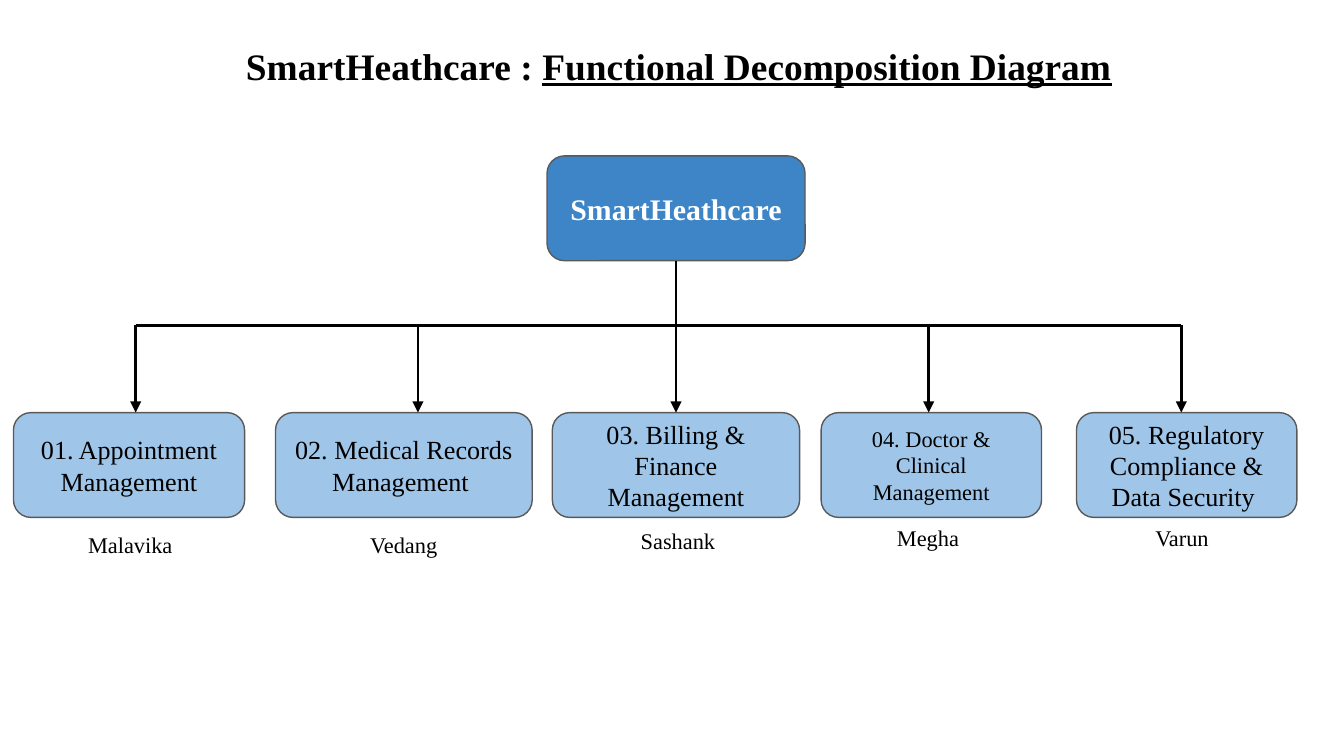
import dataclasses
import pptx
import pptx.dml.color
import pptx.enum.shapes
import pptx.enum.text
import pptx.oxml
import pptx.oxml.ns
import pptx.util

ALIGN = pptx.enum.text.PP_ALIGN
ANCHOR = pptx.enum.text.MSO_ANCHOR


@dataclasses.dataclass(frozen=True)
class Theme:
    font: str = "Times New Roman"
    ink: str = "000000"
    light: str = "FFFFFF"
    root: str = "3D85C6"
    module: str = "9FC5E8"
    outline: str = "595959"
    title_size: float = 20
    root_size: float = 16
    module_size: float = 14
    small_size: float = 12
    outline_width: float = 0.75
    arrow_width: float = 1.5
    inset: float = 0.1


def rgb(code):
    return pptx.dml.color.RGBColor.from_string(code)


def write_text(shape, text, *, font, size, color, bold=False, underlined="",
               align=ALIGN.CENTER, anchor=ANCHOR.TOP, inset=0.1, wrap=True):
    frame = shape.text_frame
    frame.word_wrap = wrap
    frame.vertical_anchor = anchor
    frame.margin_left = frame.margin_right = pptx.util.Inches(0.1)
    frame.margin_top = frame.margin_bottom = pptx.util.Inches(inset)
    para = frame.paragraphs[0]
    para.alignment = align
    for part, underline in ((text, False), (underlined, True)):
        if part:
            span = para.add_run()
            span.text = part
            span.font.name = font
            span.font.size = pptx.util.Pt(size)
            span.font.bold = bold
            span.font.underline = underline
            span.font.color.rgb = rgb(color)


class Diagram:
    COLUMNS = 100
    ROWS = 56.25

    def __init__(self, deck, theme):
        self.theme = theme
        self.cell_width = deck.slide_width / self.COLUMNS
        self.cell_height = deck.slide_height / self.ROWS
        self.page = deck.slides.add_slide(deck.slide_layouts[5])

    def place(self, column, row):
        return round(column * self.cell_width), round(row * self.cell_height)

    def title(self, text, underlined, column, row, columns, rows):
        box = self.page.shapes.title
        box.left, box.top = self.place(column, row)
        box.width, box.height = self.place(columns, rows)
        write_text(box, text, underlined=underlined, font=self.theme.font,
                   size=self.theme.title_size, color=self.theme.ink, bold=True,
                   align=ALIGN.LEFT, inset=0.05, wrap=False)
        box.text_frame.auto_size = pptx.enum.text.MSO_AUTO_SIZE.SHAPE_TO_FIT_TEXT

    def box(self, text, column, row, columns, rows, *, fill, size, color, bold=False):
        box = self.page.shapes.add_shape(
            pptx.enum.shapes.MSO_SHAPE.ROUNDED_RECTANGLE,
            *self.place(column, row), *self.place(columns, rows))
        box.shadow.inherit = False
        box.fill.solid()
        box.fill.fore_color.rgb = rgb(fill)
        box.line.color.rgb = rgb(self.theme.outline)
        box.line.width = pptx.util.Pt(self.theme.outline_width)
        write_text(box, text, font=self.theme.font, size=size, color=color, bold=bold,
                   anchor=ANCHOR.MIDDLE, inset=self.theme.inset)

    def label(self, text, center, row, columns=13.7, rows=3.2):
        box = self.page.shapes.add_textbox(
            *self.place(center - columns / 2, row), *self.place(columns, rows))
        write_text(box, text, font=self.theme.font, size=self.theme.small_size,
                   color=self.theme.ink, inset=self.theme.inset)

    def line(self, start, end, arrow=False):
        line = self.page.shapes.add_connector(
            pptx.enum.shapes.MSO_CONNECTOR.STRAIGHT,
            *self.place(*start), *self.place(*end))
        line.line.color.rgb = rgb(self.theme.ink)
        line.line.width = pptx.util.Pt(self.theme.arrow_width)
        properties = line._element.spPr
        namespace = pptx.oxml.ns.nsdecls("a")
        if arrow:
            properties.get_or_add_ln().append(
                pptx.oxml.parse_xml(f'<a:tailEnd {namespace} type="triangle"/>'))
        properties.append(pptx.oxml.parse_xml(f"<a:effectLst {namespace}/>"))


def main():
    deck = pptx.Presentation()
    deck.slide_width = pptx.util.Inches(10)
    deck.slide_height = deck.slide_width * 9 // 16
    theme = Theme()
    diagram = Diagram(deck, theme)

    root_top, box_rows, bus_row, module_top = 11.6, 7.8, 24.2, 30.7
    root_bottom = root_top + box_rows
    normal, small = theme.module_size, theme.small_size
    modules = [
        ("01. Appointment Management", normal, 1, 17.2, 10.1, bus_row, "Malavika", 9.7, 38.5),
        ("02. Medical Records Management ", normal, 20.5, 19.1, 31.1, bus_row, "Vedang", 30.05, 38.5),
        ("03. Billing & Finance Management", normal, 41.1, 18.4, 50.3, root_bottom, "Sashank", 50.45, 38.2),
        ("04. Doctor & Clinical Management", small, 61.1, 16.4, 69.1, bus_row, "Megha", 69.05, 38),
        ("05. Regulatory Compliance & Data Security ", normal, 80.1, 16.4, 87.9, bus_row, "Varun", 87.95, 38),
    ]

    diagram.title("SmartHeathcare : ", "Functional Decomposition Diagram", 17.3, 2.7, 66.9, 4.4)
    diagram.box("SmartHeathcare", 40.7, root_top, 19.2, box_rows, fill=theme.root,
                size=theme.root_size, color=theme.light, bold=True)
    for text, size, left, columns, stem, stem_top, owner, center, owner_top in modules:
        diagram.box(text, left, module_top, columns, box_rows, fill=theme.module,
                    size=size, color=theme.ink)
        diagram.line((stem, stem_top), (stem, module_top), arrow=True)
        diagram.label(owner, center, owner_top)
    diagram.line((modules[0][4], bus_row), (modules[-1][4], bus_row))

    deck.save("out.pptx")


if __name__ == "__main__":
    main()
